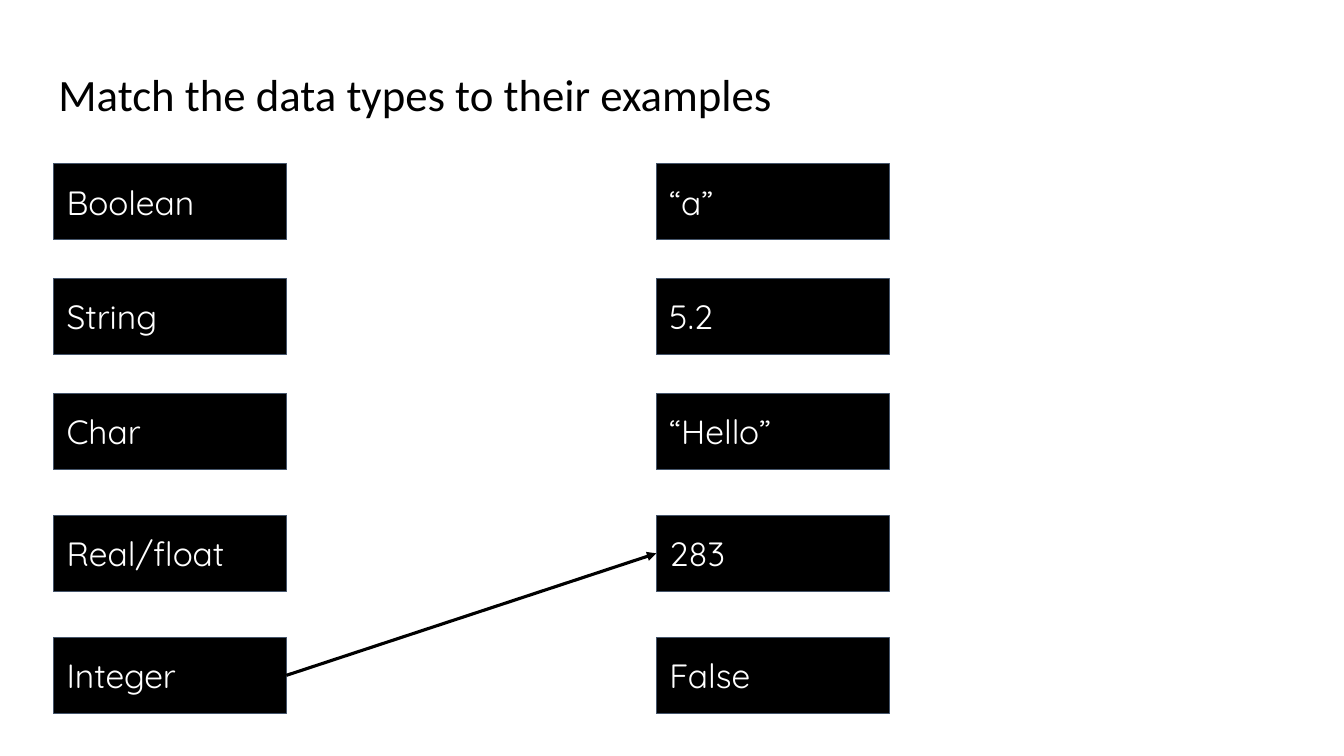
from dataclasses import dataclass

from lxml import etree
from pptx import Presentation
from pptx.dml.color import RGBColor
from pptx.enum import shapes, text
from pptx.oxml import ns
from pptx.util import Inches, Pt


@dataclass(frozen=True)
class Theme:
    ink: RGBColor = RGBColor(0x00, 0x00, 0x00)
    paper: RGBColor = RGBColor(0xFF, 0xFF, 0xFF)
    outline: RGBColor = RGBColor(0x44, 0x54, 0x6A)
    title_font: str = "Calibri"
    card_font: str = "Quicksand"
    title_size: int = 32
    card_size: int = 24
    outline_width: float = 0.75
    arrow_width: float = 2.25
    inset: float = 0.13


THEME = Theme()
DATA_TYPES = ["Boolean", "String", "Char", "Real/float", "Integer"]
EXAMPLES = ["“a”", "5.2", "“Hello”", "283", "False"]
# Row tops relative to the column: the last two rows sit slightly wider apart
ROW_OFFSETS = [0, 1.14, 2.28, 3.49, 4.7]
CARD_HEIGHT = 0.76


def write(shape, wording, font, size, color):
    """Put one left-aligned, vertically centred line of text into a shape."""
    frame = shape.text_frame
    frame.text = wording
    frame.word_wrap = True
    frame.vertical_anchor = text.MSO_ANCHOR.MIDDLE
    frame.margin_left = frame.margin_right = Inches(THEME.inset)
    frame.margin_top = frame.margin_bottom = Inches(THEME.inset)
    line = frame.paragraphs[0]
    line.alignment = text.PP_ALIGN.LEFT
    run_font = line.runs[0].font
    run_font.name, run_font.size = font, Pt(size)
    run_font.color.rgb = color
    return line


def add_title(slide, wording, left, top, width, height):
    title = slide.shapes.add_textbox(
        Inches(left), Inches(top), Inches(width), Inches(height))
    line = write(title, wording, THEME.title_font, THEME.title_size, THEME.ink)
    line.line_spacing = 0.9


def add_card_column(slide, labels, left, top, width):
    """Stack one card per label and return the cards by label."""
    cards = {}
    for label, offset in zip(labels, ROW_OFFSETS):
        card = slide.shapes.add_shape(
            shapes.MSO_SHAPE.RECTANGLE, Inches(left), Inches(top + offset),
            Inches(width), Inches(CARD_HEIGHT))
        card.shadow.inherit = False
        card.fill.solid()
        card.fill.fore_color.rgb = THEME.ink
        card.line.color.rgb = THEME.outline
        card.line.width = Pt(THEME.outline_width)
        write(card, label, THEME.card_font, THEME.card_size, THEME.paper)
        cards[label] = card
    return cards


def add_match_arrow(slide, data_type, example):
    """Join the right side of a data type to the left side of its example."""
    arrow = slide.shapes.add_connector(shapes.MSO_CONNECTOR.STRAIGHT, 0, 0, 0, 0)
    arrow.begin_connect(data_type, 3)
    arrow.end_connect(example, 1)
    arrow.line.color.rgb = THEME.ink
    arrow.line.width = Pt(THEME.arrow_width)
    # Arrowhead, and no inherited shadow
    properties = arrow.line._get_or_add_ln().getparent()
    etree.SubElement(properties.find(ns.qn("a:ln")), ns.qn("a:tailEnd"), type="triangle")
    etree.SubElement(properties, ns.qn("a:effectLst"))


def add_matching_slide(deck):
    slide = deck.slides.add_slide(deck.slide_layouts[6])
    slide.background.fill.solid()
    slide.background.fill.fore_color.rgb = THEME.paper
    add_title(slide, "Match the data types to their examples", 0.45, 0.45, 12.43, 1.03)
    data_types = add_card_column(slide, DATA_TYPES, 0.53, 1.62, 2.31)
    examples = add_card_column(slide, EXAMPLES, 6.51, 1.62, 2.31)
    add_match_arrow(slide, data_types["Integer"], examples["283"])


def main():
    deck = Presentation()
    deck.slide_width, deck.slide_height = Inches(13.33), Inches(7.5)
    add_matching_slide(deck)
    deck.save("out.pptx")


if __name__ == "__main__":
    main()
